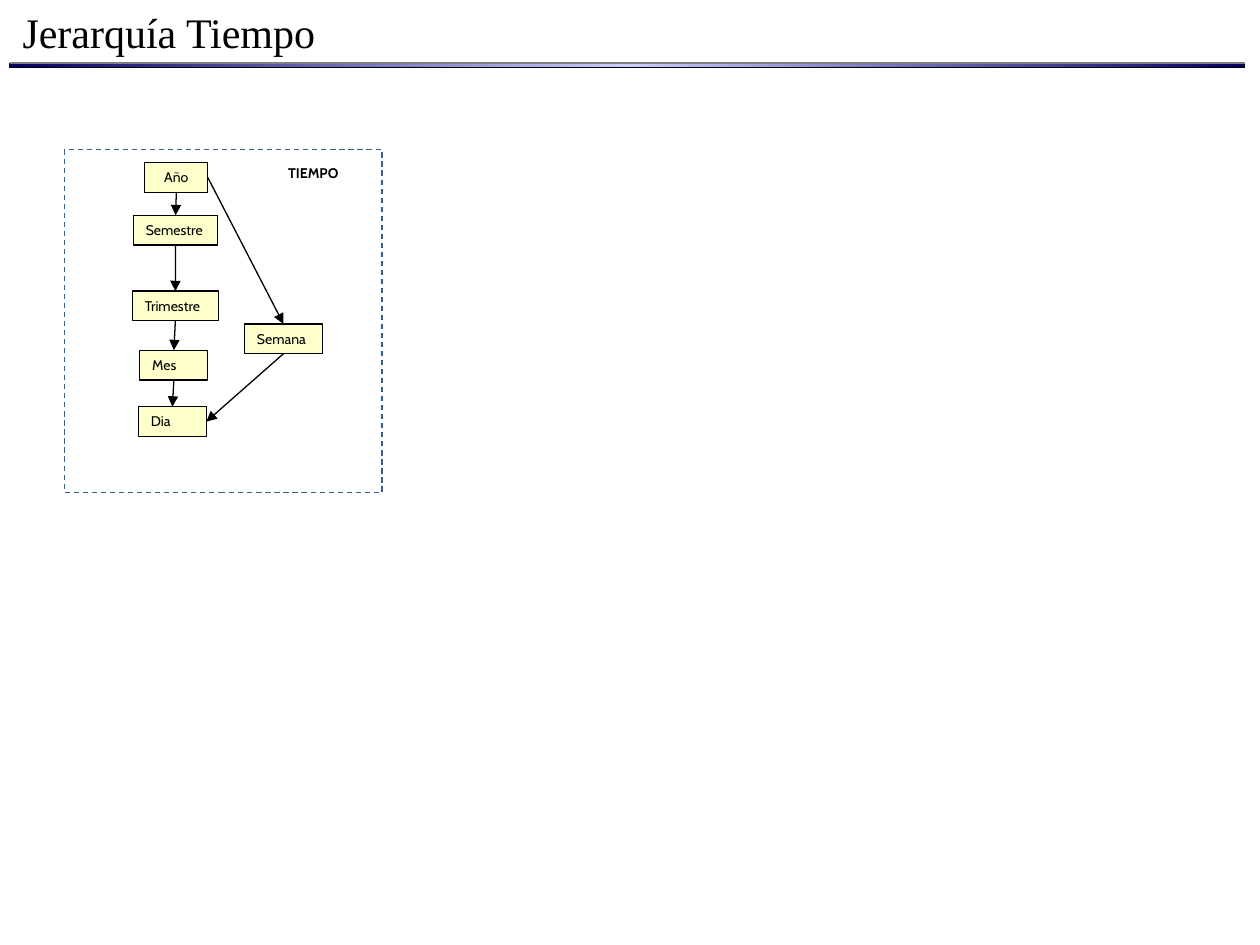
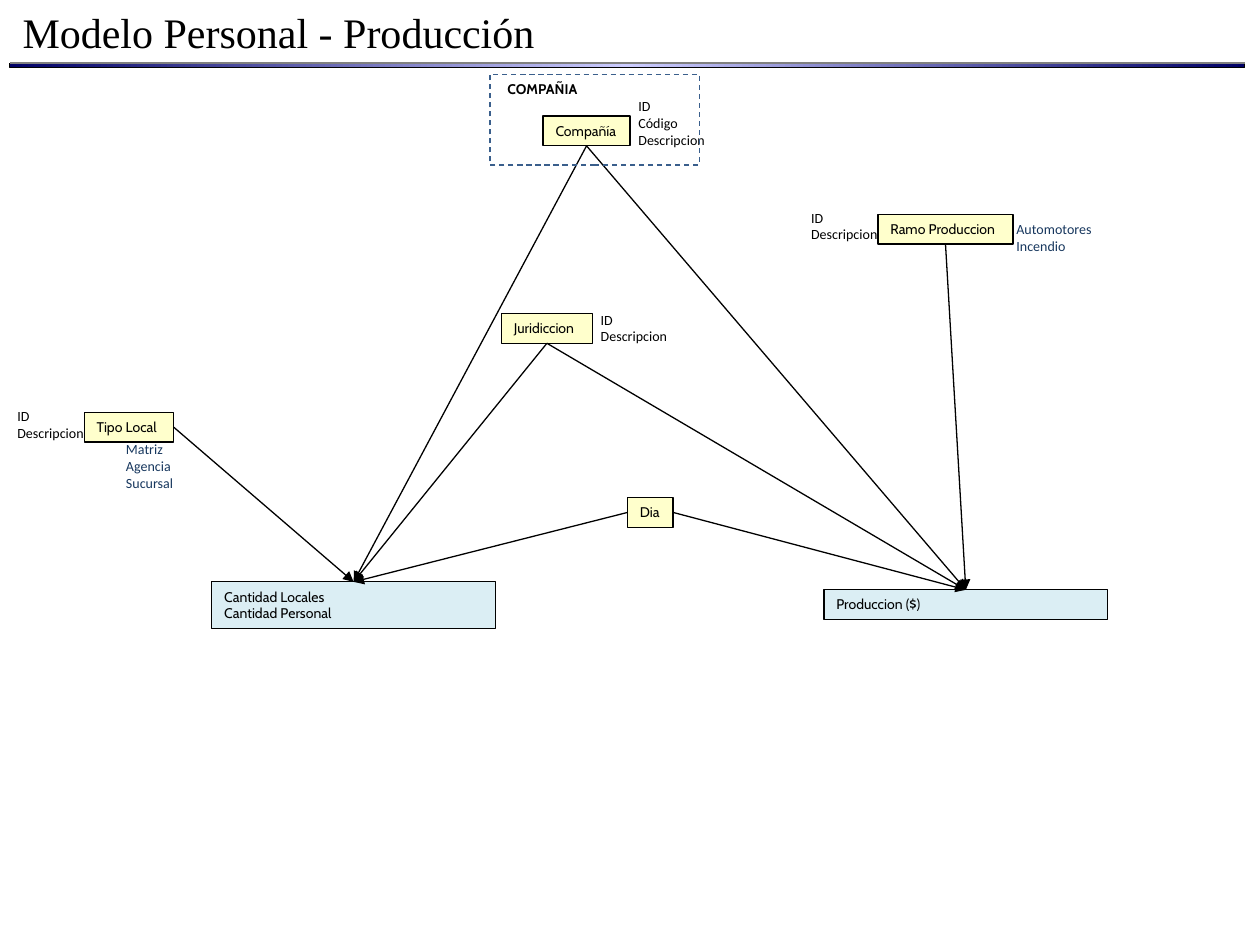
from lxml import etree
from pptx import Presentation
from pptx import util as u
from pptx.dml.color import RGBColor
from pptx.enum import dml, shapes, text
from pptx.oxml.ns import qn

TOP, LEFT, BOTTOM, RIGHT = range(4)


def rgb(color):
    return RGBColor.from_string(color)


def cm(*lengths):
    return [u.Cm(n) for n in lengths]


def text_height(lines):
    return round(0.27 + 0.335 * len(lines), 2)


class Deck:
    BLACK, GREY, NAVY = "000000", "808080", "17375E"
    LEVEL, FACT, FRAME = "FFFFCC", "DBEEF4", "3A5F8C"
    BAND = ((0, "000066"), (50, "CCCCFF"), (100, "000066"))
    TITLE_FONT, BOX_FONT, NOTE_FONT = "Times New Roman", "Cabin", "Calibri"

    def __init__(self):
        self.prs = Presentation()
        self.prs.slide_width, self.prs.slide_height = cm(25.4, 19.05)
        self.s = None

    def slide(self, title, width):
        self.s = self.prs.slides.add_slide(self.prs.slide_layouts[5])
        self.band()
        sp = self.s.shapes.title
        sp.left, sp.top, sp.width, sp.height = cm(0.2, 0, width, 1.27)
        self.set_text(sp, [title], self.TITLE_FONT, 24, wrap=False)
        sp.text_frame.auto_size = text.MSO_AUTO_SIZE.NONE

    def band(self):
        sp = self.rect(0.2, 1.27, 24.89, 0.1, self.BLACK, 0.5)
        sp.fill.gradient()
        sp.fill.gradient_angle = 0
        stops = next(sp._element.iter(qn("a:gsLst")))
        for stop in list(stops):
            stops.remove(stop)
        for pos, color in self.BAND:
            stop = etree.SubElement(stops, qn("a:gs"), pos=str(pos * 1000))
            etree.SubElement(stop, qn("a:srgbClr"), val=color)
        self.line(self.GREY, 0.2, 1.27, 25.09, 1.27)

    def rect(self, x, y, w, h, line, weight=0.75):
        sp = self.s.shapes.add_shape(shapes.MSO_SHAPE.RECTANGLE, *cm(x, y, w, h))
        sp.shadow.inherit = False
        sp.line.color.rgb = rgb(line)
        sp.line.width = u.Pt(weight)
        return sp

    def set_text(self, sp, lines, font, size=8, color=BLACK, bold=False,
                 wrap=True, align=text.PP_ALIGN.LEFT):
        tf = sp.text_frame
        tf.text = "\n".join(lines)
        tf.word_wrap = wrap
        tf.auto_size = text.MSO_AUTO_SIZE.SHAPE_TO_FIT_TEXT
        tf.vertical_anchor = text.MSO_ANCHOR.TOP
        for p in tf.paragraphs:
            p.alignment = align
            for r in p.runs:
                r.font.name = font
                r.font.size = u.Pt(size)
                r.font.bold = bold
                r.font.color.rgb = rgb(color)

    def box(self, x, y, w, *lines, fill=LEVEL, **style):
        sp = self.rect(x, y, w, text_height(lines), self.BLACK)
        sp.fill.solid()
        sp.fill.fore_color.rgb = rgb(fill)
        self.set_text(sp, lines, self.BOX_FONT, **style)
        return sp

    def label(self, x, y, w, *lines, font=NOTE_FONT, **style):
        sp = self.s.shapes.add_textbox(*cm(x, y, w, text_height(lines)))
        self.set_text(sp, lines, font, wrap=False, **style)

    def frame(self, x, y, w, h):
        sp = self.rect(x, y, w, h, self.FRAME)
        sp.fill.background()
        sp.line.dash_style = dml.MSO_LINE.DASH

    def line(self, color, *ends):
        c = self.s.shapes.add_connector(shapes.MSO_CONNECTOR.STRAIGHT, *cm(*ends))
        c.line.color.rgb = rgb(color)
        c.line.width = u.Pt(0.75)
        etree.SubElement(c._element.spPr, qn("a:effectLst"))
        return c

    def arrow(self, start, end, leave=BOTTOM, enter=TOP):
        c = self.line(self.BLACK, 0, 0, 1, 1)
        c.begin_connect(start, leave)
        c.end_connect(end, enter)
        ln = c._element.spPr.find(qn("a:ln"))
        etree.SubElement(ln, qn("a:tailEnd"), type="triangle")


def time_hierarchy(d):
    d.slide("Jerarquía Tiempo", 6.48)
    year = d.box(2.92, 3.28, 1.27, "Año", align=text.PP_ALIGN.CENTER)
    semester = d.box(2.69, 4.34, 1.7, "Semestre", wrap=False)
    quarter = d.box(2.67, 5.87, 1.73, "Trimestre", wrap=False)
    month = d.box(2.82, 7.06, 1.37, "Mes")
    day = d.box(2.79, 8.2, 1.37, "Dia")
    week = d.box(4.93, 6.53, 1.57, "Semana")
    levels = [year, semester, quarter, month, day]
    for upper, lower in zip(levels, levels[1:]):
        d.arrow(upper, lower)
    d.arrow(year, week, leave=RIGHT)
    d.arrow(week, day, enter=RIGHT)
    d.label(5.56, 3.2, 1.65, "TIEMPO", font=d.BOX_FONT, bold=True)
    d.frame(1.3, 3.02, 6.4, 6.91)


def staff_model(d):
    d.slide("Modelo Personal - Producción", 10.92)
    company = d.box(10.95, 2.34, 1.75, "Compañía", wrap=False)
    district = d.box(10.11, 6.32, 1.83, "Juridiccion", wrap=False)
    branch = d.box(17.7, 4.32, 2.72, "Ramo Produccion", wrap=False)
    site = d.box(1.7, 8.31, 1.8, "Tipo Local", wrap=False)
    day = d.box(12.65, 10.03, 0.92, "Dia", wrap=False)
    staff = d.box(4.27, 11.73, 5.72, "Cantidad Locales", "Cantidad Personal",
                  fill=d.FACT)
    output = d.box(16.61, 11.89, 5.72, "Produccion ($)", fill=d.FACT)
    for fact, side in ((staff, LEFT), (output, RIGHT)):
        d.arrow(company, fact)
        d.arrow(district, fact)
        d.arrow(day, fact, leave=side)
    d.arrow(site, staff, leave=RIGHT)
    d.arrow(branch, output)
    for x, y in ((11.86, 6.15), (0.1, 8.1), (16.1, 4.09)):
        d.label(x, y, 1.85, "ID", "Descripcion")
    d.label(12.62, 1.85, 1.85, "ID", "Código", "Descripcion")
    d.label(2.29, 8.76, 1.47, "Matriz", "Agencia", "Sucursal", color=d.NAVY)
    d.label(20.24, 4.32, 2.06, "Automotores", "Incendio", color=d.NAVY)
    d.frame(9.88, 1.5, 4.22, 1.83)
    d.label(9.98, 1.5, 2.11, "COMPAÑIA", font=d.BOX_FONT, bold=True)


deck = Deck()
time_hierarchy(deck)
staff_model(deck)
deck.prs.save("out.pptx")
